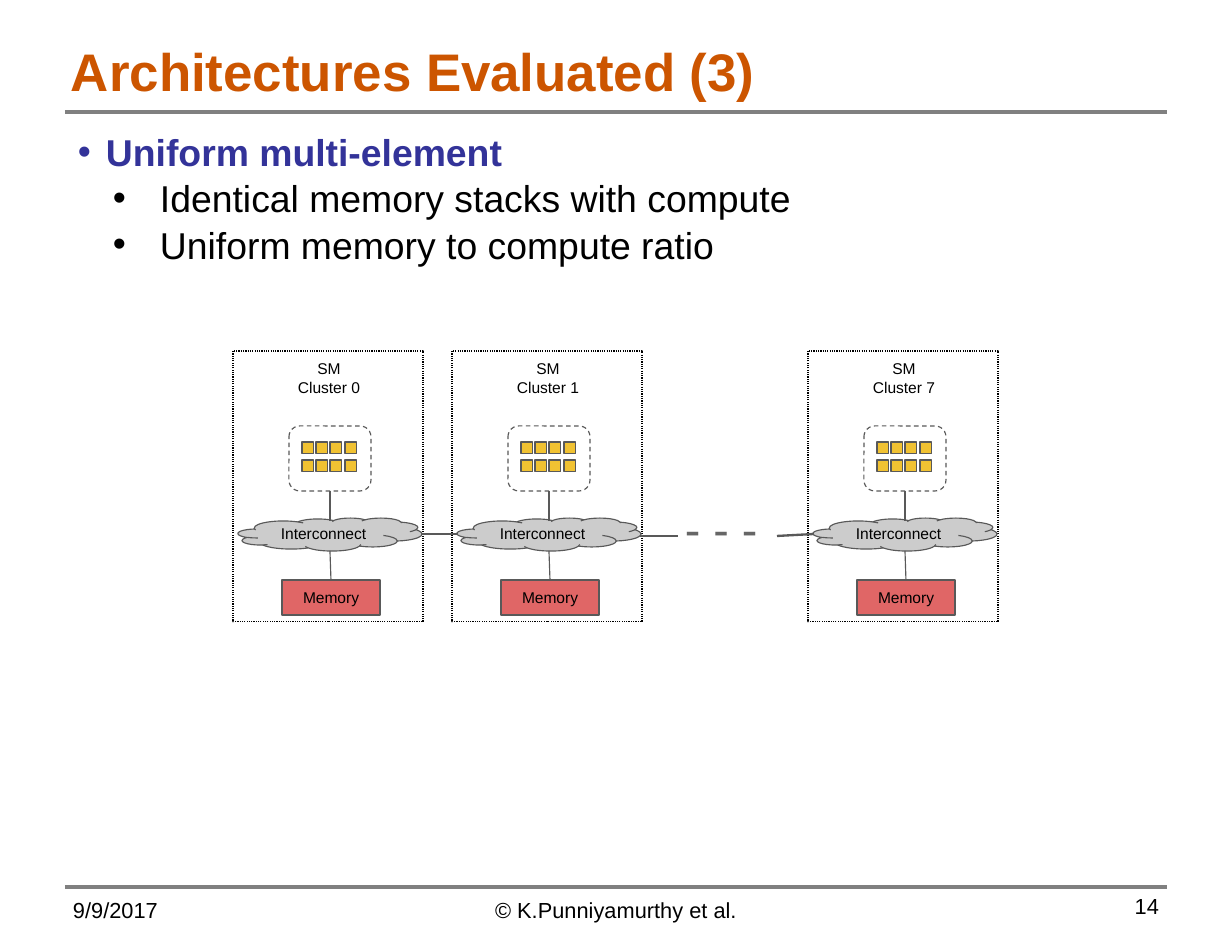
from lxml.etree import SubElement
from pptx import Presentation
from pptx.dml.color import RGBColor
from pptx.enum.dml import MSO_LINE
from pptx.enum.shapes import MSO_CONNECTOR, MSO_SHAPE
from pptx.enum.text import MSO_ANCHOR, MSO_AUTO_SIZE, PP_ALIGN
from pptx.oxml.ns import qn
from pptx.util import Pt

PX = 914400 / 112
BLACK, GRAY, NAVY = "000000", "595959", "333399"

TITLE = "Architectures Evaluated (3)"
BULLETS = [
    ("Uniform multi-element", 0, NAVY, True, 47, -28),
    ("Identical memory stacks with compute", 1, BLACK, False, 101, -47),
    ("Uniform memory to compute ratio", 1, BLACK, False, 101, -47),
]
CLUSTERS = [(233, "Cluster 0"), (452, "Cluster 1"), (808, "Cluster 7")]
LINKS = [(421, 534, 458, 534), (640, 536, 678, 536), (777, 536, 814, 534)]
RULES = [112, 887]
FOOTERS = [
    ("14", (883, 886, 288, 47), PP_ALIGN.RIGHT, (12, 7)),
    ("9/9/2017", (62, 886, 288, 47), PP_ALIGN.LEFT, (11, 11)),
    ("© K.Punniyamurthy et al.", (421, 886, 390, 47), PP_ALIGN.CENTER, (11, 11)),
]


def px(n):
    return round(n * PX)


def rgb(color):
    return RGBColor.from_string(color)


def write(sp, lines, size=10, color=BLACK, bold=False, align=PP_ALIGN.CENTER,
          anchor=MSO_ANCHOR.TOP, inset=(11, 11)):
    tf = sp.text_frame
    tf.word_wrap = True
    tf.auto_size = MSO_AUTO_SIZE.NONE
    tf.vertical_anchor = anchor
    tf.margin_left = tf.margin_right = px(inset[0])
    tf.margin_top = tf.margin_bottom = px(inset[1])
    for i, line in enumerate(lines):
        p = tf.paragraphs[0] if i == 0 else tf.add_paragraph()
        p.alignment = align
        r = p.add_run()
        r.text = line
        f = r.font
        f.name, f.size, f.bold = "Arial", Pt(size), bold
        f.color.rgb = rgb(color)
    return tf


def add_text(s, box, lines, **fmt):
    return write(s.shapes.add_textbox(*map(px, box)), lines, **fmt)


def add_box(s, kind, box, fill=None, line=GRAY, dash=None):
    sp = s.shapes.add_shape(kind, *map(px, box))
    sp.shadow.inherit = False
    if fill:
        sp.fill.solid()
        sp.fill.fore_color.rgb = rgb(fill)
    else:
        sp.fill.background()
    sp.line.color.rgb = rgb(line)
    sp.line.width = Pt(0.75)
    if dash:
        sp.line.dash_style = dash
    return sp


def add_line(s, ends, color=GRAY, width=0.75):
    c = s.shapes.add_connector(MSO_CONNECTOR.STRAIGHT, *map(px, ends))
    c.line.color.rgb = rgb(color)
    c.line.width = Pt(width)
    SubElement(c._element.spPr, qn("a:effectLst"))
    return c


def add_bullet(p, level, color, margin, indent):
    p.level = level
    p.space_before = Pt(1)
    pPr = p._p.get_or_add_pPr()
    pPr.set("marL", str(px(margin)))
    pPr.set("indent", str(px(indent)))
    clr = SubElement(pPr, qn("a:buClr"))
    SubElement(clr, qn("a:srgbClr"), val=color)
    SubElement(pPr, qn("a:buFont"), typeface="Arial")
    SubElement(pPr, qn("a:buChar"), char="•")


def add_cluster(s, x, name):
    add_box(s, MSO_SHAPE.RECTANGLE, (x, 351, 190, 271), line=BLACK,
            dash=MSO_LINE.ROUND_DOT)
    memory = add_box(s, MSO_SHAPE.RECTANGLE, (x + 49, 580, 98, 35), "E06666")
    cloud = add_box(s, MSO_SHAPE.CLOUD, (x + 5, 518, 184, 33), "CCCCCC")
    for sp, label in ((memory, "Memory"), (cloud, "Interconnect")):
        write(sp, [label], anchor=MSO_ANCHOR.MIDDLE)
    add_text(s, (x + 31, 348, 130, 48), ["SM", name])
    core = add_box(s, MSO_SHAPE.ROUNDED_RECTANGLE, (x + 56, 426, 82, 65),
                   dash=MSO_LINE.DASH)
    add_line(s, (x + 97, 491, x + 97, 521)).begin_connect(core, 2)
    add_line(s, (x + 98, 580, x + 97, 551)).begin_connect(memory, 0)
    for row in range(2):
        for col in range(4):
            cell = (x + 69 + col * 43 // 3, 442 + row * 18, 12, 12)
            add_box(s, MSO_SHAPE.RECTANGLE, cell, "F1C232")


def main():
    prs = Presentation()
    prs.slide_width, prs.slide_height = px(1232), px(952)
    s = prs.slides.add_slide(prs.slide_layouts[5])

    title = s.shapes.title
    title.left, title.top, title.width, title.height = map(px, (59, 28, 1101, 84))
    write(title, [TITLE], size=34, color="CC5500", bold=True,
          align=PP_ALIGN.LEFT, anchor=MSO_ANCHOR.MIDDLE, inset=(12, 7))
    for y in RULES:
        add_line(s, (65, y, 1167, y), "808080", 2.25)

    tf = add_text(s, (47, 122, 1150, 180), [b[0] for b in BULLETS], size=24,
                  align=PP_ALIGN.LEFT, inset=(12, 7))
    for p, (_, level, color, bold, margin, indent) in zip(tf.paragraphs, BULLETS):
        add_bullet(p, level, color, margin, indent)
        p.runs[0].font.color.rgb = rgb(color)
        p.runs[0].font.bold = bold

    for x, name in CLUSTERS:
        add_cluster(s, x, name)
    for ends in LINKS:
        add_line(s, ends, width=1.5)
    add_text(s, (674, 489, 130, 60), ["- - -"], size=30, color="666666",
             align=PP_ALIGN.LEFT)

    for text, box, align, inset in FOOTERS:
        add_text(s, box, [text], size=14, align=align, inset=inset)
    prs.save("out.pptx")


if __name__ == "__main__":
    main()
